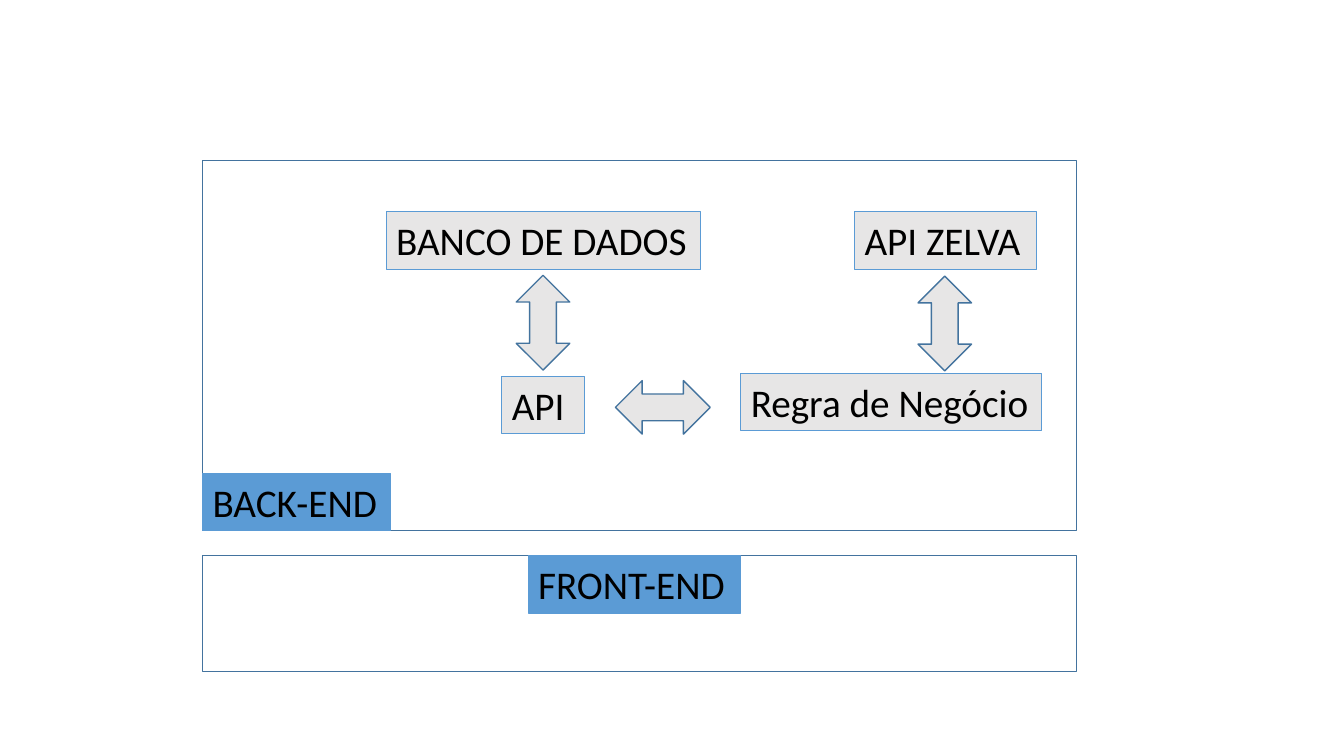
from pptx import Presentation
from pptx.dml.color import RGBColor
from pptx.enum.shapes import MSO_SHAPE
from pptx.enum.text import MSO_AUTO_SIZE
from pptx.util import Pt

BLUE = "5B9BD5"
DARK_BLUE = "43739E"
GRAY = "E7E6E6"
BLACK = "000000"
LABEL_HEIGHT = 41.2
ARROW_WIDTH, ARROW_HEIGHT = 38.2, 67.7


def color(value):
    return RGBColor.from_string(value)


def style(shape, fill, line, line_width):
    if fill:
        shape.fill.solid()
        shape.fill.fore_color.rgb = color(fill)
    else:
        shape.fill.background()
    shape.line.color.rgb = color(line)
    shape.line.width = Pt(line_width)


def add_outline(page, kind, left, top, width, height, fill=None):
    shape = page.shapes.add_shape(kind, Pt(left), Pt(top), Pt(width), Pt(height))
    shape.shadow.inherit = False
    style(shape, fill, DARK_BLUE, 1)
    return shape


def add_label(page, text, left, top, width, fill):
    box = page.shapes.add_textbox(Pt(left), Pt(top), Pt(width), Pt(LABEL_HEIGHT))
    style(box, fill, BLUE, 0.75)
    frame = box.text_frame
    frame.word_wrap = False
    frame.auto_size = MSO_AUTO_SIZE.SHAPE_TO_FIT_TEXT
    span = frame.paragraphs[0].add_run()
    span.text = text
    span.font.name = "Calibri"
    span.font.size = Pt(28)
    span.font.color.rgb = color(BLACK)


def add_double_arrow(page, center_x, center_y, rotation=0):
    arrow = add_outline(page, MSO_SHAPE.UP_DOWN_ARROW,
                        center_x - ARROW_WIDTH / 2, center_y - ARROW_HEIGHT / 2,
                        ARROW_WIDTH, ARROW_HEIGHT, GRAY)
    arrow.rotation = rotation


def add_back_end(page, left, top, width, height):
    add_outline(page, MSO_SHAPE.RECTANGLE, left, top, width, height)
    components = [
        ("BANCO DE DADOS", 131.2, 36.7, 224.6),
        ("API ZELVA", 465.8, 36.7, 129.6),
        ("API ", 213.8, 154.2, 59.2),
        ("Regra de Negócio", 384.5, 152, 214.8),
    ]
    for text, x, y, label_width in components:
        add_label(page, text, left + x, top + y, label_width, GRAY)
    for x, y, rotation in [(243.2, 116, 0), (530.2, 116.6, 0), (328.7, 176.5, 90)]:
        add_double_arrow(page, left + x, top + y, rotation)
    add_label(page, "BACK-END", left, top + height - LABEL_HEIGHT, 134, BLUE)


def add_front_end(page, left, top, width, height):
    add_outline(page, MSO_SHAPE.RECTANGLE, left, top, width, height)
    add_label(page, "FRONT-END", left + 232.6, top, 152, BLUE)


deck = Presentation()
deck.slide_width, deck.slide_height = Pt(960), Pt(540)
page = deck.slides.add_slide(deck.slide_layouts[6])
add_back_end(page, 144.7, 114.5, 624.3, 264.7)
add_front_end(page, 144.7, 396.7, 624.3, 82.8)
deck.save("out.pptx")
